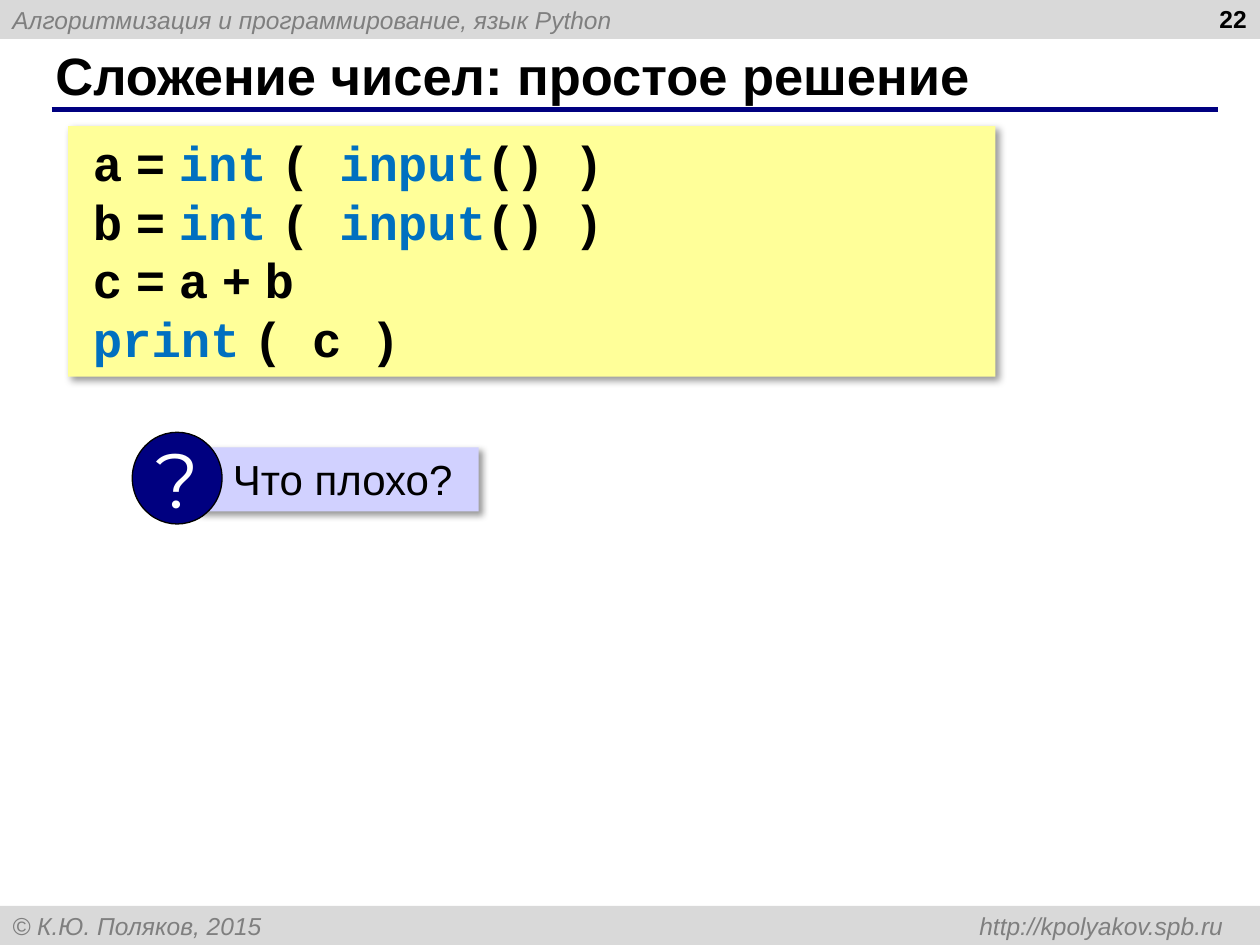
from lxml import etree
from pptx import Presentation, util as u
from pptx.dml.color import RGBColor
from pptx.enum import shapes, text
from pptx.oxml import parse_xml
from pptx.oxml.ns import qn

THEME = dict(
    bar="D9D9D9", navy="000080", code_bg="FFFF99", ask_bg="D1D1FF",
    black="000000", gray="7F7F7F", blue="0070C0", white="FFFFFF",
    small=14, title=30, code=28, body=24, mark=44,
    sans="Arial", mono="Courier New", sign="Montserrat",
)
A_NS = "http://schemas.openxmlformats.org/drawingml/2006/main"
SHADOW = (
    f'<a:effectLst xmlns:a="{A_NS}">'
    '<a:outerShdw blurRad="50800" dist="38100" dir="2700000" algn="tl" rotWithShape="0">'
    '<a:srgbClr val="000000"><a:alpha val="40000"/></a:srgbClr>'
    '</a:outerShdw></a:effectLst>'
)
KEYWORDS = {"int", "input", "print"}
# Segments are split at "|"; a segment of one space is set narrow.
CODE = [
    "a| |=| |int| |( |input|() )",
    "b| |=| |int| |( |input|() )",
    "c| |=| |a| |+| |b",
    "print| |( c )",
]


def add_block(parent, kind, box, fill, shadow=False):
    """Add a borderless filled shape with left-aligned text."""
    sp = parent.add_shape(kind, *map(u.Pt, box))
    sp.fill.solid()
    sp.fill.fore_color.rgb = RGBColor.from_string(THEME[fill])
    sp.line.fill.background()
    sp.shadow.inherit = False
    if shadow:
        sp._element.spPr.remove(sp._element.spPr.find(qn("a:effectLst")))
        sp._element.spPr.append(parse_xml(SHADOW))
    sp.text_frame.word_wrap = True
    sp.text_frame.paragraphs[0].alignment = text.PP_ALIGN.LEFT
    return sp


def add_run(p, words, size, color, font="sans", **style):
    r = p.add_run()
    r.text = words
    values = dict(name=THEME[font], size=u.Pt(THEME[size]), **style)
    for key, value in values.items():
        setattr(r.font, key, value)
    r.font.color.rgb = RGBColor.from_string(THEME[color])
    return r


prs = Presentation()
prs.slide_width, prs.slide_height = u.Pt(720), u.Pt(540)
s = prs.slides.add_slide(prs.slide_layouts[5])
rect = shapes.MSO_SHAPE.RECTANGLE

# Header and footer bars
bars = [
    (0, "Алгоритмизация и программирование, язык Python"),
    (517.7, "© К.Ю. Поляков, 2015\thttp://kpolyakov.spb.ru"),
]
for top, words in bars:
    sp = add_block(s.shapes, rect, (0, top, 720, 22.3), "bar")
    sp.text_frame.vertical_anchor = text.MSO_ANCHOR.MIDDLE
    p = sp.text_frame.paragraphs[0]
    if "\t" in words:
        tabs = etree.SubElement(p._p.get_or_add_pPr(), qn("a:tabLst"))
        etree.SubElement(tabs, qn("a:tab"), pos=str(u.Pt(692)), algn="r")
    add_run(p, words, "small", "gray", italic=True)

# Title with its rule
rule = s.shapes.add_connector(
    shapes.MSO_CONNECTOR.STRAIGHT, u.Pt(29.5), u.Pt(62.6), u.Pt(696.2), u.Pt(62.6))
rule.line.color.rgb = RGBColor.from_string(THEME["navy"])
rule.line.width = u.Pt(3)
etree.SubElement(rule._element.spPr, qn("a:effectLst"))

title = s.shapes.title
place = dict(left=24.5, top=23.8, width=659.5, height=37.4)
for key, value in place.items():
    setattr(title, key, u.Pt(value))
tf = title.text_frame
tf.vertical_anchor = text.MSO_ANCHOR.MIDDLE
tf.auto_size = text.MSO_AUTO_SIZE.NONE
p = tf.paragraphs[0]
p.alignment = text.PP_ALIGN.LEFT
add_run(p, "Сложение чисел: простое решение", "title", "black", bold=True)

# Page number
number = s.shapes.add_textbox(u.Pt(551.5), u.Pt(-1.4), u.Pt(168), u.Pt(37.4))
number.text_frame.word_wrap = True
p = number.text_frame.paragraphs[0]
p.alignment = text.PP_ALIGN.RIGHT
add_run(p, "22", "small", "black", bold=True)

# Code listing
listing = add_block(s.shapes, rect, (38.9, 72, 530, 143.3), "code_bg", shadow=True)
tf = listing.text_frame
tf.vertical_anchor = text.MSO_ANCHOR.TOP
for i, line in enumerate(CODE):
    p = tf.add_paragraph() if i else tf.paragraphs[0]
    p.alignment = text.PP_ALIGN.JUSTIFY
    pPr = p._p.get_or_add_pPr()
    pPr.set("marL", str(u.Pt(14.2)))
    pPr.set("indent", str(u.Pt(-7.1)))
    for part in line.split("|"):
        color = "blue" if part in KEYWORDS else "black"
        font = "sans" if part == " " else "mono"
        r = add_run(p, part, "code", color, font, bold=True)
        if part == " ":
            r._r.get_or_add_rPr().set("spc", "-160")

# Question callout
callout = s.shapes.add_group_shape().shapes
ask = add_block(callout, rect, (112.3, 255.6, 161.3, 36.7), "ask_bg", shadow=True)
ask.text_frame.vertical_anchor = text.MSO_ANCHOR.TOP
p = ask.text_frame.paragraphs[0]
pPr = p._p.get_or_add_pPr()
pPr.set("marL", str(u.Pt(41.8)))
pPr.set("indent", str(u.Pt(-28.1)))
add_run(p, "Что плохо?", "body", "black")

mark = add_block(callout, shapes.MSO_SHAPE.OVAL, (75.6, 247, 51.3, 52.4), "navy")
mark.line.color.rgb = RGBColor.from_string(THEME["black"])
mark.line.width = u.Pt(0.75)
mark.text_frame.word_wrap = False
mark.text_frame.vertical_anchor = text.MSO_ANCHOR.MIDDLE
p = mark.text_frame.paragraphs[0]
p.alignment = text.PP_ALIGN.CENTER
add_run(p, "?", "mark", "white", "sign")

prs.save("out.pptx")
